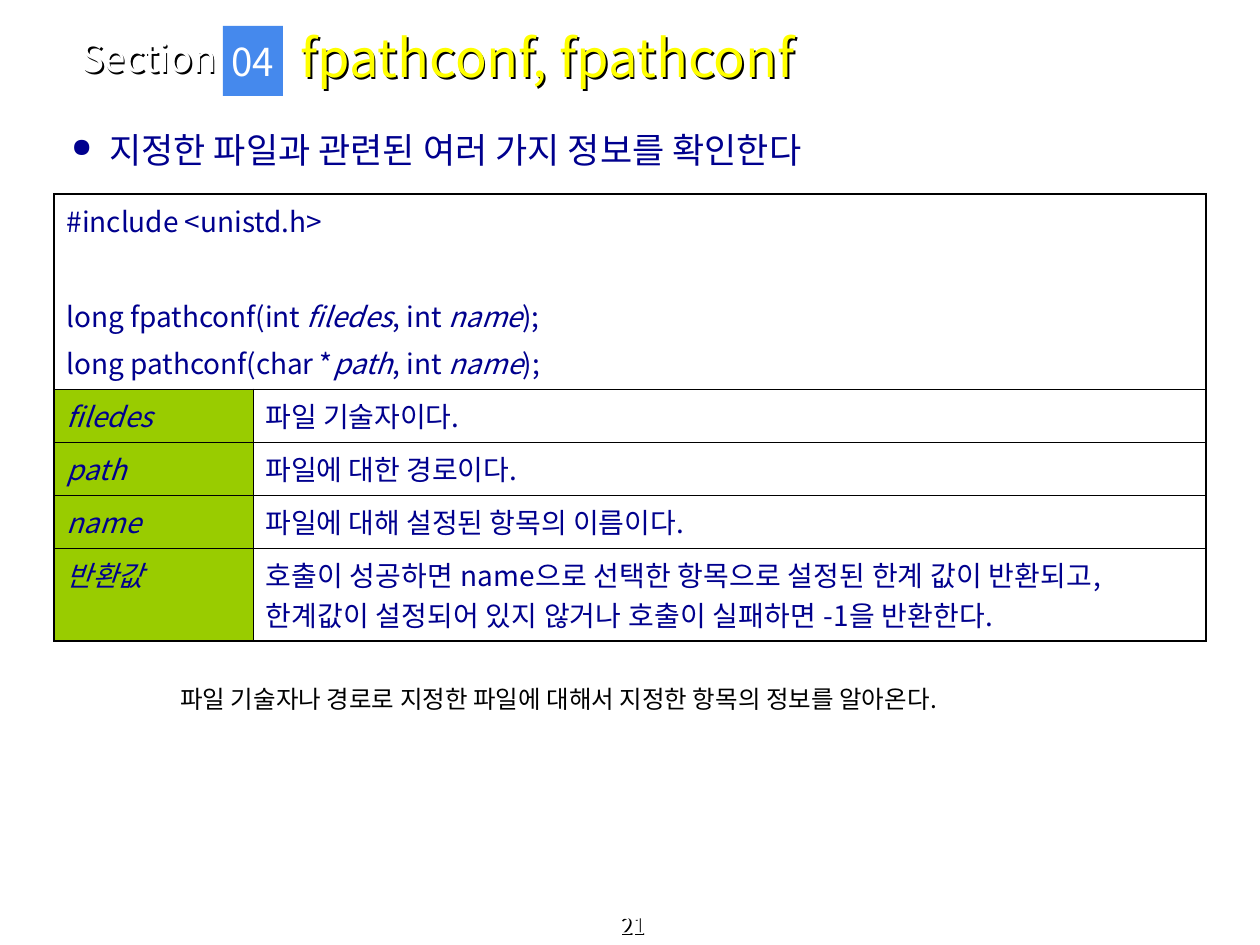
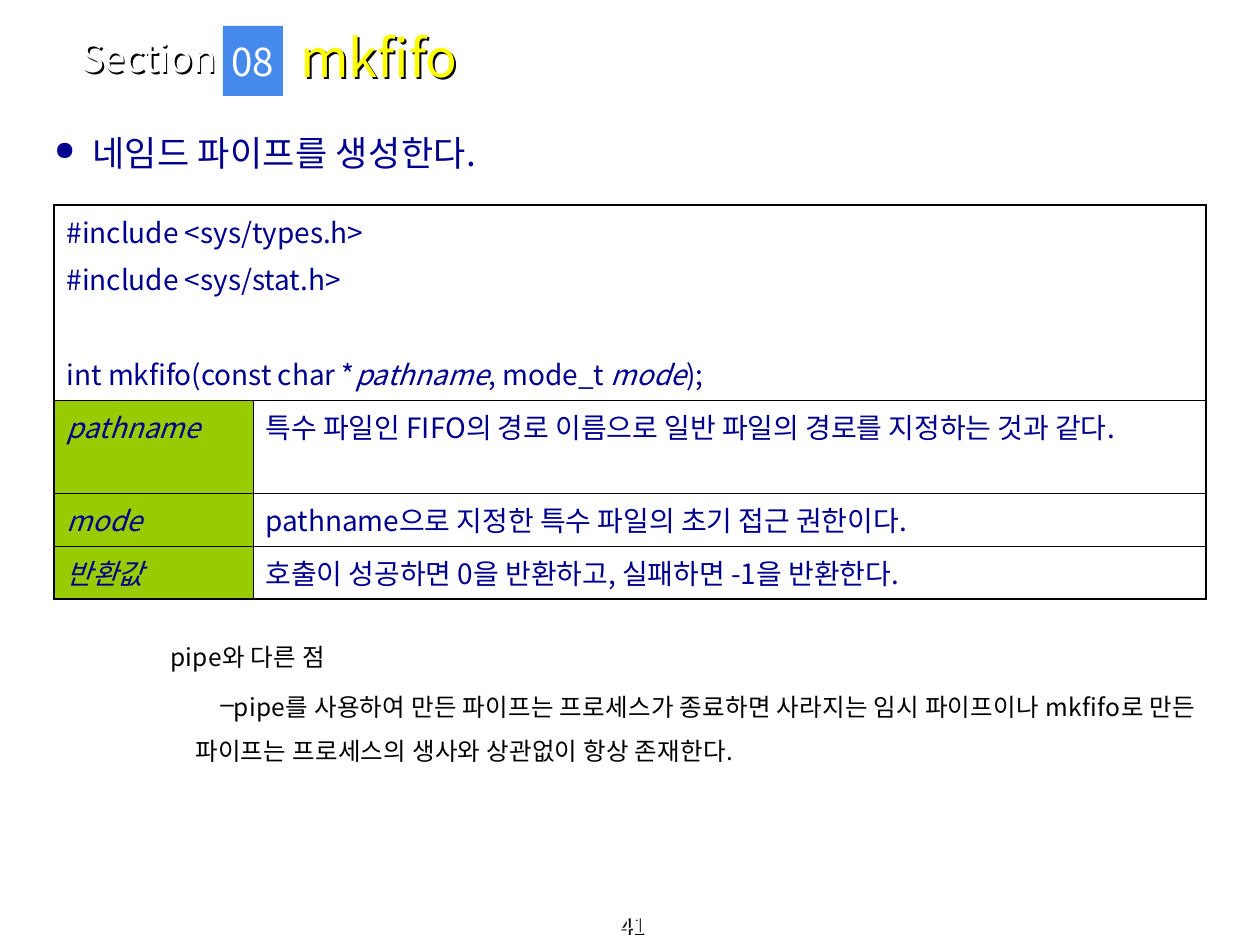
from lxml import etree
from pptx import Presentation
from pptx.dml.color import RGBColor
from pptx.enum.shapes import MSO_SHAPE
from pptx.enum.text import MSO_ANCHOR, PP_ALIGN
from pptx.oxml import parse_xml
from pptx.oxml.ns import qn
from pptx.util import Pt

PX = 7257  # EMU per px, 126 px to the inch
FONT = "Noto Sans CJK KR"
WHITE = RGBColor(0xFF, 0xFF, 0xFF)
BLACK = RGBColor(0, 0, 0)
NAVY = RGBColor(0x00, 0x00, 0x8E)
YELLOW = RGBColor(0xFF, 0xFF, 0x00)
BLUE = RGBColor(0x45, 0x89, 0xED)
GREEN = RGBColor(0x99, 0xCC, 0x00)

DRAWING_NS = "http://schemas.openxmlformats.org/drawingml/2006/main"
TEXT_SHADOW = (
    f'<a:effectLst xmlns:a="{DRAWING_NS}"><a:outerShdw dist="18000" dir="2700000">'
    '<a:srgbClr val="000000"/></a:outerShdw></a:effectLst>'
)
BULLET_SIZES = {"●": "75000", "–": "100000"}
WIDE = 15  # letter spacing in hundredths of a point
LABEL_WIDTH, MEANING_WIDTH = 199, 953
CODE_HEIGHT, ONE_LINE, TWO_LINES = 195, 53, 93
OUTER_LINE, INNER_LINE = Pt(1.08), Pt(0.45)


def write_paragraph(paragraph, runs, size, color, spacing=0, bullet=None, indents=(0, 0)):
    """Write runs that are upright and italic in turn, after an optional bullet."""
    if bullet:
        properties = paragraph._p.get_or_add_pPr()
        margin, first_line = indents
        properties.set("marL", str(margin * PX))
        properties.set("indent", str(first_line * PX))
        bullet_color = etree.SubElement(properties, qn("a:buClr"))
        etree.SubElement(bullet_color, qn("a:srgbClr"), val=str(color))
        etree.SubElement(properties, qn("a:buSzPct"), val=BULLET_SIZES[bullet])
        etree.SubElement(properties, qn("a:buChar"), char=bullet)
    for index, text in enumerate(runs):
        if not text:
            continue
        run = paragraph.add_run()
        run.text = text
        run.font.size = Pt(size)
        run.font.color.rgb = color
        run.font.italic = index % 2 == 1
        run.font.name = FONT
        if spacing:
            run._r.rPr.set("spc", str(spacing))
        east_asian = etree.Element(qn("a:ea"), typeface=FONT)
        run._r.rPr.find(qn("a:latin")).addnext(east_asian)


def add_text_frame(slide, left, top, width, height, anchor=MSO_ANCHOR.TOP, shadow=False):
    """Add a text box; with no fill, its shadow falls from the letters."""
    box = slide.shapes.add_textbox(left * PX, top * PX, width * PX, height * PX)
    if shadow:
        box._element.spPr.append(parse_xml(TEXT_SHADOW))
    frame = box.text_frame
    frame.word_wrap = True
    frame.vertical_anchor = anchor
    return frame


# Code is a list of blocks of lines; a line is a tuple of upright and italic runs.
pages = [
    {
        "section": "04",
        "title": "fpathconf, fpathconf",
        "page_number": "21",
        "summary": "지정한 파일과 관련된 여러 가지 정보를 확인한다",
        "summary_box": (59, 122, 800, 55),
        "spacing": 0,
        "table_top": 194,
        "code": [
            [("#include <unistd.h>",)],
            [
                ("long fpathconf(int ", "filedes", ", int ", "name", ");"),
                ("long pathconf(char *", "path", ", int ", "name", ");"),
            ],
        ],
        "rows": [
            ("filedes", "파일 기술자이다.", ONE_LINE, 0),
            ("path", "파일에 대한 경로이다.", ONE_LINE, 0),
            ("name", "파일에 대해 설정된 항목의 이름이다.", ONE_LINE, 0),
            (
                "반환값",
                "호출이 성공하면 name으로 선택한 항목으로 설정된 한계 값이 반환되고, "
                "한계값이 설정되어 있지 않거나 호출이 실패하면 -1을 반환한다.",
                TWO_LINES,
                WIDE,
            ),
        ],
        "notes_box": (168, 681, 988, 49),
        "notes_spacing": 0.9,
        "notes": [("파일 기술자나 경로로 지정한 파일에 대해서 지정한 항목의 정보를 알아온다.", None)],
    },
    {
        "section": "08",
        "title": "mkfifo",
        "page_number": "41",
        "summary": "네임드 파이프를 생성한다.",
        "summary_box": (42, 125, 1193, 59),
        "spacing": WIDE,
        "table_top": 205,
        "code": [
            [("#include <sys/types.h>",), ("#include <sys/stat.h>",)],
            [("int mkfifo(const char *", "pathname", ", mode_t ", "mode", ");")],
        ],
        "rows": [
            (
                "pathname",
                "특수 파일인 FIFO의 경로 이름으로 일반 파일의 경로를 지정하는 것과 같다.",
                TWO_LINES,
                0,
            ),
            ("mode", "pathname으로 지정한 특수 파일의 초기 접근 권한이다.", ONE_LINE, 0),
            ("반환값", "호출이 성공하면 0을 반환하고, 실패하면 -1을 반환한다.", ONE_LINE, 0),
        ],
        "notes_box": (158, 621, 1058, 218),
        "notes_spacing": 1.5,
        "notes": [
            ("pipe와 다른 점", None),
            (
                "pipe를 사용하여 만든 파이프는 프로세스가 종료하면 사라지는 임시 파이프이나 "
                "mkfifo로 만든 파이프는 프로세스의 생사와 상관없이 항상 존재한다.",
                "–",
            ),
        ],
    },
]

presentation = Presentation()
presentation.slide_width = 1260 * PX
presentation.slide_height = 945 * PX
blank_layout = presentation.slide_layouts[6]

for page in pages:
    slide = presentation.slides.add_slide(blank_layout)

    # Footer and heading
    footer = add_text_frame(slide, 4, 917, 1256, 28, MSO_ANCHOR.BOTTOM, shadow=True).paragraphs[0]
    footer.alignment = PP_ALIGN.CENTER
    write_paragraph(footer, [page["page_number"]], 13, WHITE)

    section_word = add_text_frame(slide, 69, 34, 243, 47, MSO_ANCHOR.MIDDLE, shadow=True)
    write_paragraph(section_word.paragraphs[0], ["Section"], 22, WHITE)

    title = add_text_frame(slide, 288, 14, 818, 86, MSO_ANCHOR.MIDDLE, shadow=True)
    write_paragraph(title.paragraphs[0], [page["title"]], 30, YELLOW)

    badge = slide.shapes.add_shape(MSO_SHAPE.RECTANGLE, 223 * PX, 26 * PX, 60 * PX, 70 * PX)
    badge.shadow.inherit = False
    badge.fill.solid()
    badge.fill.fore_color.rgb = BLUE
    badge.line.fill.background()
    badge.text_frame.word_wrap = False
    badge.text_frame.vertical_anchor = MSO_ANCHOR.MIDDLE
    badge_text = badge.text_frame.paragraphs[0]
    badge_text.alignment = PP_ALIGN.CENTER
    write_paragraph(badge_text, [page["section"]], 22, WHITE)

    summary = add_text_frame(slide, *page["summary_box"]).paragraphs[0]
    write_paragraph(summary, [page["summary"]], 20, NAVY, page["spacing"], "●", (38, -38))

    # Function table: the declaration on top, then one row per parameter
    heights = [CODE_HEIGHT] + [height for _, _, height, _ in page["rows"]]
    table = slide.shapes.add_table(
        len(heights), 2, 54 * PX, page["table_top"] * PX,
        (LABEL_WIDTH + MEANING_WIDTH) * PX, sum(heights) * PX,
    ).table
    table.first_row = False
    table.horz_banding = False
    table.columns[0].width = LABEL_WIDTH * PX
    table.columns[1].width = MEANING_WIDTH * PX
    for row, height in zip(table.rows, heights):
        row.height = height * PX

    code_cell = table.cell(0, 0)
    code_cell.merge(table.cell(0, 1))
    code_frame = code_cell.text_frame
    for block_index, block in enumerate(page["code"]):
        for line_index, line in enumerate(block):
            if block_index == line_index == 0:
                paragraph = code_frame.paragraphs[0]
            else:
                paragraph = code_frame.add_paragraph()
                paragraph.space_before = Pt(4 if line_index else 31)
            write_paragraph(paragraph, line, 16, NAVY)

    for row_index, (label, meaning, _, spacing) in enumerate(page["rows"], start=1):
        label_text = table.cell(row_index, 0).text_frame.paragraphs[0]
        write_paragraph(label_text, ["", label], 16, NAVY)
        meaning_text = table.cell(row_index, 1).text_frame.paragraphs[0]
        write_paragraph(meaning_text, [meaning], 16, NAVY, spacing)

    last_row = len(heights) - 1
    for row_index in range(len(heights)):
        for column_index in range(2):
            cell = table.cell(row_index, column_index)
            if row_index > 0 and column_index == 0:
                cell.fill.solid()
                cell.fill.fore_color.rgb = GREEN
            else:
                cell.fill.background()
            sides = [
                ("a:lnL", column_index == 0),
                ("a:lnR", column_index == 1 or row_index == 0),
                ("a:lnT", row_index == 0),
                ("a:lnB", row_index == last_row),
            ]
            cell_properties = cell._tc.get_or_add_tcPr()
            for position, (tag, is_outer) in enumerate(sides):
                border = etree.Element(qn(tag), w=str(OUTER_LINE if is_outer else INNER_LINE))
                border_fill = etree.SubElement(border, qn("a:solidFill"))
                etree.SubElement(border_fill, qn("a:srgbClr"), val=str(BLACK))
                cell_properties.insert(position, border)

    # Notes under the table
    notes = add_text_frame(slide, *page["notes_box"])
    for index, (text, bullet) in enumerate(page["notes"]):
        paragraph = notes.add_paragraph() if index else notes.paragraphs[0]
        write_paragraph(paragraph, [text], 14, BLACK, page["spacing"], bullet, (25, 25))
        paragraph.line_spacing = page["notes_spacing"]
        if index:
            paragraph.space_before = Pt(3.5)

presentation.save("out.pptx")
